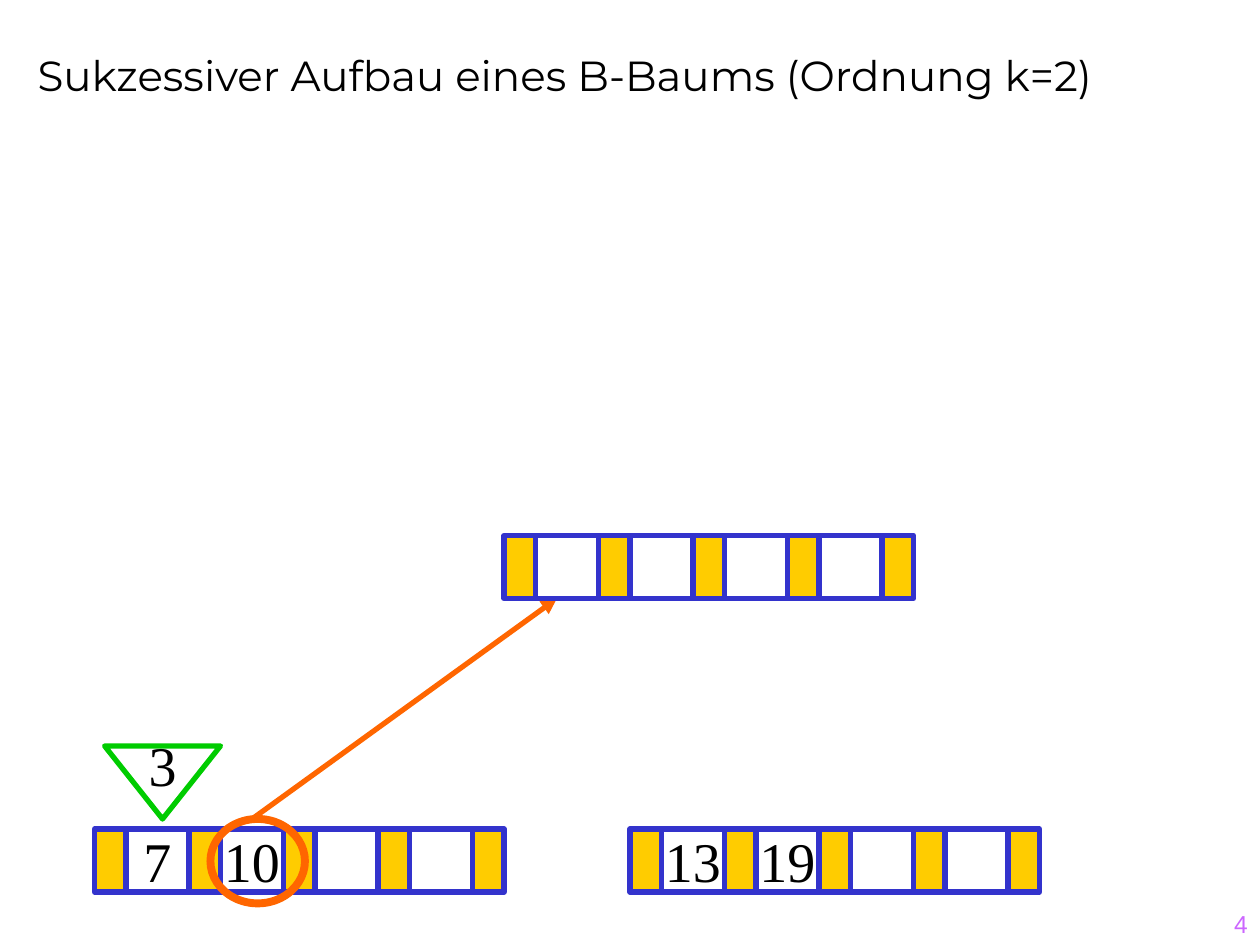
from lxml.etree import SubElement
from pptx import Presentation
from pptx.dml.color import RGBColor
from pptx.enum.shapes import MSO_CONNECTOR, MSO_SHAPE
from pptx.enum.text import MSO_ANCHOR, PP_ALIGN
from pptx.oxml.ns import qn
from pptx.util import Inches, Pt

CELL = 0.25          # pointer width; a key is two cells wide
ROOT_Y, LEAF_Y = 4.25, 6.58
KEYS_PER_NODE = 4    # 2k keys for order k = 2
BLUE, YELLOW, ORANGE, GREEN = "3333CC", "FFCC00", "FF6600", "00CC00"


def color(hex_code):
    return RGBColor.from_string(hex_code)


def add_text(sp, text, size=32, font="Times New Roman", fill="000000",
             align=PP_ALIGN.CENTER, anchor=MSO_ANCHOR.MIDDLE, wrap=False):
    tf = sp.text_frame
    tf.word_wrap = wrap
    tf.vertical_anchor = anchor
    p = tf.paragraphs[0]
    p.alignment = align
    r = p.add_run()
    r.text = text
    r.font.size = Pt(size)
    r.font.name = font
    r.font.color.rgb = color(fill)


def add_box(s, x, y, w, h, **fmt):
    return s.shapes.add_textbox(Inches(x), Inches(y), Inches(w), Inches(h))


def add_outlined(s, kind, x, y, w, h, line, fill=None, width=3, text=""):
    sp = s.shapes.add_shape(kind, Inches(x), Inches(y), Inches(w), Inches(h))
    sp.shadow.inherit = False
    if fill:
        sp.fill.solid()
        sp.fill.fore_color.rgb = color(fill)
    else:
        sp.fill.background()
    sp.line.color.rgb = color(line)
    sp.line.width = Pt(width)
    if text:
        add_text(sp, text)
    return sp


def add_node(s, column, y, keys=()):
    """Draw a B-tree node: pointers and keys alternate, pointers at both ends."""
    x = column * CELL
    for i in range(KEYS_PER_NODE):
        key = keys[i] if i < len(keys) else ""
        add_outlined(s, MSO_SHAPE.RECTANGLE, x + (3 * i + 1) * CELL, y,
                     2 * CELL, 2 * CELL, BLUE, "FFFFFF", text=key)
    for i in range(KEYS_PER_NODE + 1):
        add_outlined(s, MSO_SHAPE.RECTANGLE, x + 3 * i * CELL, y,
                     CELL, 2 * CELL, BLUE, YELLOW)


def add_arrow(s, start, end, line, width=3):
    cx = s.shapes.add_connector(MSO_CONNECTOR.STRAIGHT,
                                *(Inches(v) for v in (*start, *end)))
    cx.line.color.rgb = color(line)
    cx.line.width = Pt(width)
    SubElement(cx.line._get_or_add_ln(), qn("a:tailEnd"), type="triangle")
    SubElement(cx._element.spPr, qn("a:effectLst"))


def main():
    prs = Presentation()
    prs.slide_width, prs.slide_height = Inches(10), Inches(7.5)
    s = prs.slides.add_slide(prs.slide_layouts[6])

    # Title and page number
    add_text(add_box(s, 0.2, 0, 9.8, 0.84),
             "Sukzessiver Aufbau eines B-Baums (Ordnung k=2)",
             size=24, font="Montserrat", align=PP_ALIGN.LEFT,
             anchor=MSO_ANCHOR.BOTTOM, wrap=True)
    add_text(add_box(s, 7.92, 7, 2.08, 0.5), "4", size=14, font="Arial",
             fill="CC66FF", align=PP_ALIGN.RIGHT, anchor=MSO_ANCHOR.BOTTOM,
             wrap=True)

    # Left leaf with the inserted key and the middle key that moves up
    add_node(s, 3, LEAF_Y, ["7", "10"])
    add_outlined(s, MSO_SHAPE.FLOWCHART_MERGE, 0.83, 5.92, 0.92, 0.58,
                 GREEN, "FFFFFF", text="3")
    add_outlined(s, MSO_SHAPE.OVAL, 1.67, 6.5, 0.75, 0.67, ORANGE, width=4.5)

    # Right leaf
    add_node(s, 20, LEAF_Y, ["13", "19"])

    # New root, reached by the middle key
    add_arrow(s, (2, 6.5), (4.42, 4.75), ORANGE)
    add_node(s, 16, ROOT_Y)

    prs.save("out.pptx")


if __name__ == "__main__":
    main()
